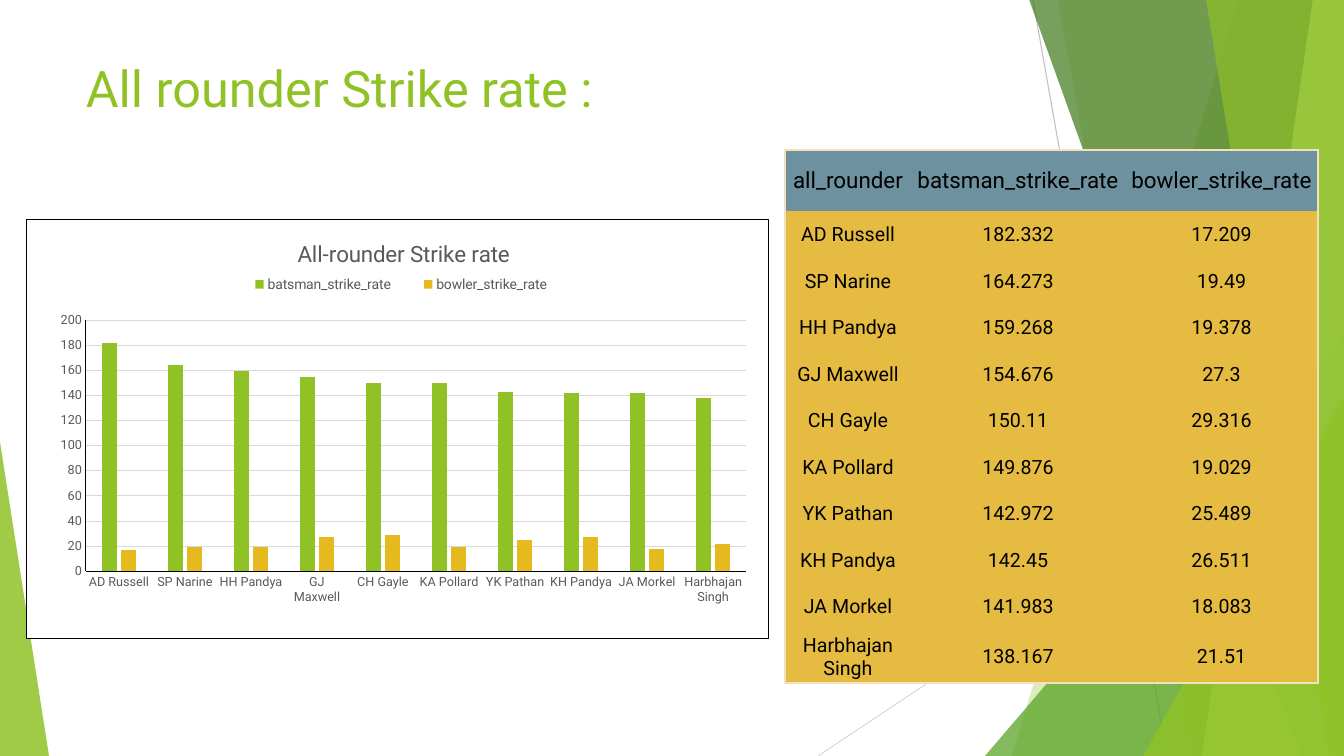
"""Build the all-rounder strike rate slide."""
from lxml import etree
from pptx import Presentation, util as u
from pptx.chart.data import CategoryChartData
from pptx.dml.color import RGBColor
from pptx.enum import chart as ch, shapes, text
from pptx.oxml import parse_xml
from pptx.oxml.ns import nsdecls, qn

FONT = "Roboto"
GREEN, GOLD, GREY, BLACK = "90C226", "E6B91E", "595959", "000000"
HEADER_FILL, BODY_FILL, TABLE_EDGE = "6E91A0", "E6BB41", "F3E0BD"

TITLE = "All rounder Strike rate :"
CHART_TITLE = "All-rounder Strike rate"
HEADINGS = ("all_rounder", "batsman_strike_rate", "bowler_strike_rate")
PLAYERS = [
    ("AD Russell", "182.332", "17.209"),
    ("SP Narine", "164.273", "19.49"),
    ("HH Pandya", "159.268", "19.378"),
    ("GJ Maxwell", "154.676", "27.3"),
    ("CH Gayle", "150.11", "29.316"),
    ("KA Pollard", "149.876", "19.029"),
    ("YK Pathan", "142.972", "25.489"),
    ("KH Pandya", "142.45", "26.511"),
    ("JA Morkel", "141.983", "18.083"),
    ("Harbhajan Singh", "138.167", "21.51"),
]

WIDTH, HEIGHT = 1344, 756
SCALE = u.Inches(7.5) / HEIGHT
RAYS = [((1033, 0), (1167, HEIGHT), "BFBFBF"), ((WIDTH, 406), (818, HEIGHT), "D9D9D9")]
BANDS = {
    "back": [(1238, 1012, GREEN, 30), (1058, 1192, GREEN, 20)],
    "front": [(1029, 1301, "3F7819", 70), (1313, 1202, "C0E474", 70), (1206, 1329, GREEN, 65)],
}
TRIANGLES = {
    "back": [((985, 336, 359, 420), 1, "54A021", 72)],
    "front": [((1143, 396, 201, 360), 1, GREEN, 80), ((0, 442, 49, 314), 0, GREEN, 85)],
}
TITLE_BOX = (76, 52, 948, 98)
CHART_BOX = (26, 219, 743, 420)
TABLE_LEFT, TABLE_TOP = 785, 150
COLUMNS = (126, 214, 193)
HEADER_ROW, MIDDLE_ROWS, LAST_ROW = 61, 419, 53


def px(value):
    return u.Emu(round(value * SCALE))


def rgb(value):
    return RGBColor.from_string(value)


def style(font, size, color):
    font.name, font.size, font.color.rgb = FONT, u.Pt(size), rgb(color)


def paint(shape, color, opacity):
    shape.shadow.inherit = False
    shape.fill.solid()
    shape.fill.fore_color.rgb = rgb(color)
    shape.line.fill.background()
    tint = shape.element.xpath("p:spPr/a:solidFill/a:srgbClr")[0]
    etree.SubElement(tint, qn("a:alpha")).set("val", str(opacity * 1000))


def add_rays(page):
    for start, end, color in RAYS:
        ray = page.shapes.add_connector(
            shapes.MSO_CONNECTOR.STRAIGHT, *map(px, start + end))
        ray.line.color.rgb, ray.line.width = rgb(color), u.Pt(0.75)
        etree.SubElement(ray.element.spPr, qn("a:effectLst"))


def add_facets(page, layer):
    for top, bottom, color, opacity in BANDS[layer]:
        builder = page.shapes.build_freeform(top, -1, SCALE)
        builder.add_line_segments([(WIDTH, -1), (WIDTH, HEIGHT), (bottom, HEIGHT)])
        paint(builder.convert_to_shape(), color, opacity)
    for box, apex, color, opacity in TRIANGLES[layer]:
        triangle = page.shapes.add_shape(
            shapes.MSO_SHAPE.ISOSCELES_TRIANGLE, *map(px, box))
        triangle.adjustments[0] = apex
        paint(triangle, color, opacity)


def add_title(page):
    frame = page.shapes.add_textbox(*map(px, TITLE_BOX)).text_frame
    frame.word_wrap = True
    frame.text = TITLE
    style(frame.paragraphs[0].runs[0].font, 36, GREEN)


def place(part, index, inner=False, **numbers):
    for old in part.findall(qn("c:layout")):
        part.remove(old)
    layout = etree.Element(qn("c:layout"))
    manual = etree.SubElement(layout, qn("c:manualLayout"))
    values = {"layoutTarget": "inner"} if inner else {}
    values.update(xMode="edge", yMode="edge", **numbers)
    for name, value in values.items():
        etree.SubElement(manual, qn("c:" + name)).set("val", str(value))
    part.insert(index, layout)


def add_chart(page):
    data = CategoryChartData()
    data.categories = [player[0] for player in PLAYERS]
    for column in (1, 2):
        data.add_series(HEADINGS[column], [round(float(player[column])) for player in PLAYERS])
    chart = page.shapes.add_chart(
        ch.XL_CHART_TYPE.COLUMN_CLUSTERED, *map(px, CHART_BOX), data).chart
    style(chart.font, 10, BLACK)

    chart.has_title = True
    chart.chart_title.text_frame.text = CHART_TITLE
    title_font = chart.chart_title.text_frame.paragraphs[0].runs[0].font
    style(title_font, 16, GREY)
    title_font.bold = False
    chart.has_legend = True
    chart.legend.position = ch.XL_LEGEND_POSITION.TOP
    chart.legend.include_in_layout = False
    style(chart.legend.font, 10, GREY)

    plot = chart.plots[0]
    plot.gap_width, plot.overlap, plot.vary_by_categories = 219, -27, False
    for series, color in zip(plot.series, (GREEN, GOLD)):
        series.format.fill.solid()
        series.format.fill.fore_color.rgb = rgb(color)
    for axis in (chart.category_axis, chart.value_axis):
        axis.major_tick_mark = axis.minor_tick_mark = ch.XL_TICK_MARK.NONE
        style(axis.tick_labels.font, 9, GREY)
        axis.format.line.color.rgb, axis.format.line.width = rgb(BLACK), u.Pt(0.75)
    chart.value_axis.minimum_scale, chart.value_axis.maximum_scale = 0, 200
    chart.value_axis.major_unit = 20
    grid = chart.value_axis.major_gridlines.format.line
    grid.color.rgb, grid.width = rgb("D9D9D9"), u.Pt(0.75)

    root = chart.element
    place(root.xpath("c:chart/c:plotArea")[0], 0, True, x=0.08, y=0.24, w=0.89, h=0.6)
    place(root.xpath("c:chart/c:title")[0], 1, x=0.36, y=0.04)
    place(root.xpath("c:chart/c:legend")[0], 1, x=0.27, y=0.13, w=0.47, h=0.05)
    root.find(qn("c:chart")).addnext(parse_xml(
        f'<c:spPr {nsdecls("c", "a")}><a:solidFill><a:srgbClr val="FFFFFF"/></a:solidFill>'
        f'<a:ln w="9525"><a:solidFill><a:srgbClr val="{BLACK}"/></a:solidFill></a:ln></c:spPr>'))


def add_edges(cell, sides):
    for index, side in enumerate(sides):
        cell._tc.get_or_add_tcPr().insert(index, parse_xml(
            f'<a:ln{side} {nsdecls("a")} w="12700"><a:solidFill>'
            f'<a:srgbClr val="{TABLE_EDGE}"/></a:solidFill></a:ln{side}>'))


def add_table(page):
    rows = [HEADINGS, *PLAYERS]
    middle = len(rows) - 2
    heights = [HEADER_ROW, *[MIDDLE_ROWS / middle] * middle, LAST_ROW]
    table = page.shapes.add_table(
        len(rows), len(COLUMNS), px(TABLE_LEFT), px(TABLE_TOP),
        px(sum(COLUMNS)), px(sum(heights))).table
    table.first_row = table.horz_banding = False
    table._tbl.tblPr.find(qn("a:tableStyleId")).text = "{2D5ABB26-0587-4C30-8999-92F81FD0307C}"
    for column, width in zip(table.columns, COLUMNS):
        column.width = px(width)
    for r, (values, height) in enumerate(zip(rows, heights)):
        table.rows[r].height = px(height)
        for c, value in enumerate(values):
            cell = table.cell(r, c)
            cell.text = value
            cell.vertical_anchor = text.MSO_ANCHOR.MIDDLE
            cell.margin_left = cell.margin_right = cell.margin_top = px(1)
            cell.margin_bottom = 0
            para = cell.text_frame.paragraphs[0]
            para.alignment = text.PP_ALIGN.CENTER
            style(para.runs[0].font, 14 if r else 16, BLACK)
            cell.fill.solid()
            cell.fill.fore_color.rgb = rgb(BODY_FILL if r else HEADER_FILL)
            outer = {"L": c == 0, "R": c == len(COLUMNS) - 1,
                     "T": r == 0, "B": r == len(rows) - 1}
            add_edges(cell, [side for side, shown in outer.items() if shown])


def main():
    deck = Presentation()
    deck.slide_width, deck.slide_height = px(WIDTH), px(HEIGHT)
    page = deck.slides.add_slide(deck.slide_layouts[6])
    add_rays(page)
    for layer in BANDS:
        add_facets(page, layer)
    add_title(page)
    add_chart(page)
    add_table(page)
    deck.save("out.pptx")


if __name__ == "__main__":
    main()
